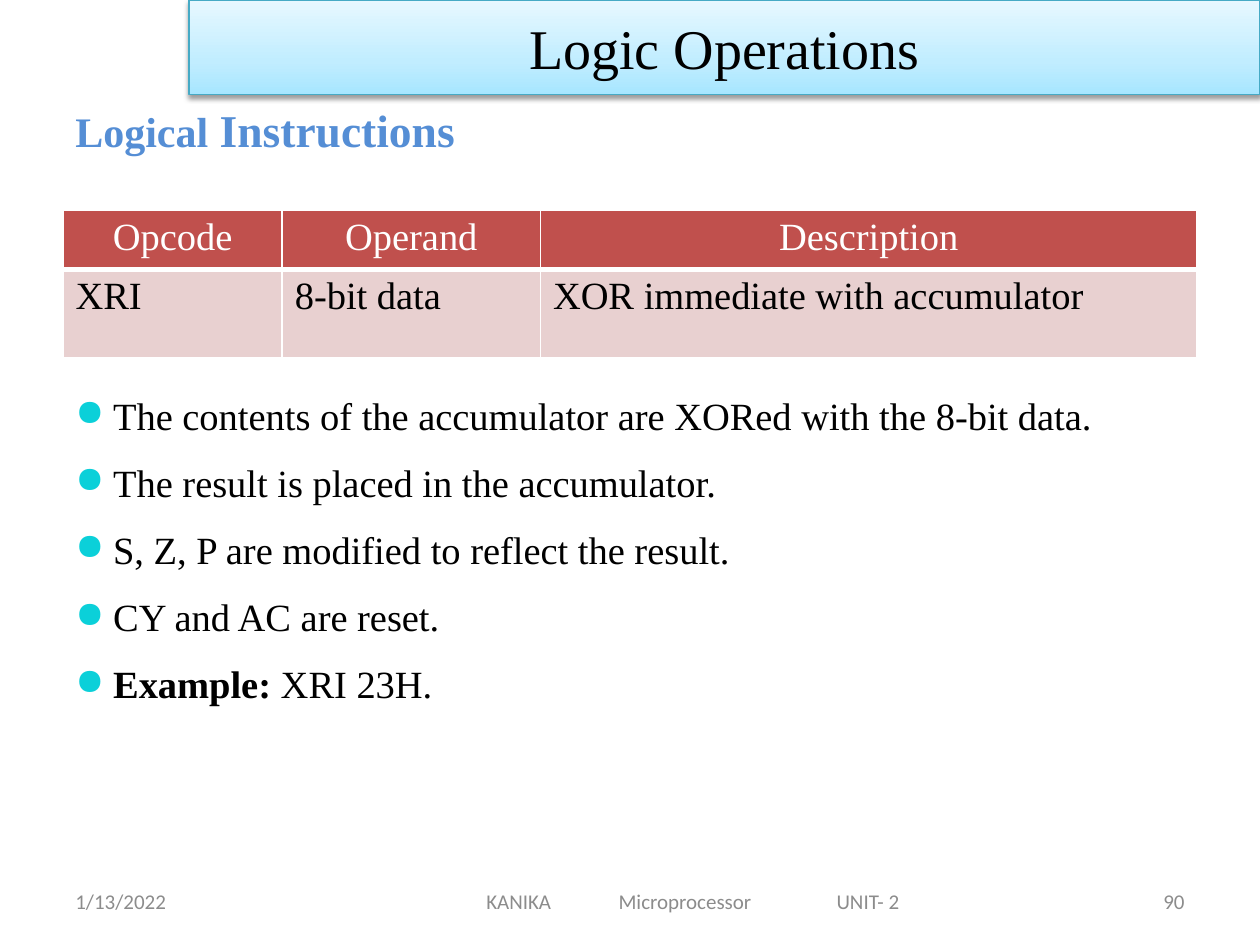
from lxml.etree import SubElement
from pptx import Presentation
from pptx.dml.color import RGBColor
from pptx.enum.shapes import MSO_SHAPE
from pptx.enum.text import MSO_ANCHOR, PP_ALIGN
from pptx.oxml import parse_xml
from pptx.oxml.ns import nsdecls, qn
from pptx.util import Inches, Pt

SERIF, SANS = "Times New Roman", "Calibri"
BLACK = RGBColor(0x00, 0x00, 0x00)
WHITE = RGBColor(0xFF, 0xFF, 0xFF)
GRAY = RGBColor(0x8C, 0x8C, 0x8C)
BLUE = RGBColor(0x55, 0x8E, 0xD5)
TEAL = RGBColor(0x46, 0xAA, 0xC5)
CYAN = RGBColor(0x0B, 0xD0, 0xD9)
RED = RGBColor(0xC0, 0x50, 0x4D)
PINK = RGBColor(0xE8, 0xD0, 0xD0)
BANNER_STOPS = [
    (0, RGBColor(0xA7, 0xE6, 0xFF)),
    (35, RGBColor(0xC1, 0xED, 0xFF)),
    (100, RGBColor(0xE7, 0xF8, 0xFF)),
]

TITLE = "Logic Operations"
HEADING = [("Logical", 24), (" Instructions", 26)]
TABLE_ROWS = [
    ("Opcode", "Operand", "Description"),
    ("XRI", "8-bit data", "XOR immediate with accumulator"),
]
COLUMN_WIDTHS = [1.74, 2.05, 5.21]
ROW_HEIGHTS = [0.46, 0.7]
BULLETS = [
    [("The contents of the accumulator are XORed with the 8-bit data.", False)],
    [("The result is placed in the accumulator.", False)],
    [("S, Z, P are modified to reflect the result.", False)],
    [("CY and AC are reset.", False)],
    [("Example:", True), (" XRI 23H.", False)],
]
DATE, PAGE_NUMBER = "1/13/2022", "90"
FOOTER = ["KANIKA", "Microprocessor", "UNIT- 2"]
FOOTER_INDENT = 1.11
FOOTER_TABS = [1.05, 2.78]

WIDTH, HEIGHT = 10, 7.5
MARGIN = WIDTH * 0.05
CONTENT_WIDTH = WIDTH - 2 * MARGIN
BANNER_LEFT = WIDTH * 0.15
FOOTER_TOP, FOOTER_HEIGHT, FOOTER_SIDE = 6.95, 0.4, 2.33


def add_run(paragraph, text, size, color, font=SERIF, bold=False):
    run = paragraph.add_run()
    run.text = text
    run.font.name, run.font.size, run.font.bold = font, Pt(size), bold
    run.font.color.rgb = color


def add_box(slide, left, top, width, height, anchor=MSO_ANCHOR.TOP):
    box = slide.shapes.add_textbox(*map(Inches, (left, top, width, height)))
    box.text_frame.word_wrap = True
    box.text_frame.vertical_anchor = anchor
    return box.text_frame


def add_banner(slide):
    banner = slide.shapes.add_shape(
        MSO_SHAPE.RECTANGLE, Inches(BANNER_LEFT), 0,
        Inches(WIDTH - BANNER_LEFT), Inches(HEIGHT / 10))
    banner.shadow.inherit = False
    banner.line.color.rgb = TEAL
    banner.line.width = Pt(0.75)
    banner.fill.gradient()
    properties = banner.element.spPr
    stops = "".join(
        f'<a:gs pos="{position * 1000}"><a:srgbClr val="{color}"/></a:gs>'
        for position, color in BANNER_STOPS)
    gradient = parse_xml(
        f'<a:gradFill {nsdecls("a")} rotWithShape="1"><a:gsLst>{stops}</a:gsLst>'
        '<a:lin ang="16200000" scaled="0"/></a:gradFill>')
    properties.replace(properties.find(qn("a:gradFill")), gradient)
    properties.find(qn("a:effectLst")).append(parse_xml(
        f'<a:outerShdw {nsdecls("a")} blurRad="{Pt(3.1)}" dist="{Pt(1.6)}" '
        f'dir="5400000" rotWithShape="0"><a:srgbClr val="{BLACK}">'
        '<a:alpha val="38000"/></a:srgbClr></a:outerShdw>'))
    frame = banner.text_frame
    frame.vertical_anchor = MSO_ANCHOR.MIDDLE
    frame.paragraphs[0].alignment = PP_ALIGN.CENTER
    add_run(frame.paragraphs[0], TITLE, 32, BLACK)


def add_borders(cell, widths):
    properties = cell._tc.get_or_add_tcPr()
    for index, (side, width) in enumerate(widths.items()):
        properties.insert(index, parse_xml(
            f'<a:{side} {nsdecls("a")} w="{Pt(width)}"><a:solidFill>'
            f'<a:srgbClr val="{WHITE}"/></a:solidFill></a:{side}>'))


def add_instruction_table(slide):
    table = slide.shapes.add_table(
        len(TABLE_ROWS), len(COLUMN_WIDTHS), Inches(MARGIN), Inches(1.67),
        Inches(CONTENT_WIDTH), Inches(sum(ROW_HEIGHTS))).table
    for column, width in zip(table.columns, COLUMN_WIDTHS):
        column.width = Inches(width)
    for row_index, (row, height) in enumerate(zip(table.rows, ROW_HEIGHTS)):
        row.height = Inches(height)
        header = row_index == 0
        for cell, text in zip(row.cells, TABLE_ROWS[row_index]):
            cell.fill.solid()
            cell.fill.fore_color.rgb = RED if header else PINK
            add_borders(cell, {"lnL": 1, "lnR": 1, "lnT": 1 if header else 3,
                               "lnB": 3 if header else 1})
            paragraph = cell.text_frame.paragraphs[0]
            paragraph.alignment = PP_ALIGN.CENTER if header else PP_ALIGN.LEFT
            add_run(paragraph, text, 22, WHITE if header else BLACK)


def add_bullets(slide):
    frame = add_box(slide, MARGIN, 3.06, CONTENT_WIDTH, 3.4)
    for index, runs in enumerate(BULLETS):
        paragraph = frame.add_paragraph() if index else frame.paragraphs[0]
        paragraph.alignment = PP_ALIGN.JUSTIFY
        paragraph.space_after = Pt(12)
        properties = paragraph._p.get_or_add_pPr()
        properties.set("marL", str(Inches(0.3)))
        properties.set("indent", str(Inches(-0.3)))
        color = SubElement(properties, qn("a:buClr"))
        SubElement(color, qn("a:srgbClr"), val=str(CYAN))
        SubElement(properties, qn("a:buSzPct"), val="95000")
        SubElement(properties, qn("a:buChar"), char="●")
        for text, bold in runs:
            add_run(paragraph, text, 22, BLACK, bold=bold)


def add_footer(slide):
    parts = [
        (MARGIN, FOOTER_SIDE, DATE, PP_ALIGN.LEFT),
        (2.75, 5.5, "\t".join(FOOTER), PP_ALIGN.LEFT),
        (WIDTH - MARGIN - FOOTER_SIDE, FOOTER_SIDE, PAGE_NUMBER, PP_ALIGN.RIGHT),
    ]
    for left, width, text, alignment in parts:
        frame = add_box(slide, left, FOOTER_TOP, width, FOOTER_HEIGHT, MSO_ANCHOR.MIDDLE)
        paragraph = frame.paragraphs[0]
        paragraph.alignment = alignment
        if "\t" in text:
            frame.margin_left = Inches(FOOTER_INDENT)
            tabs = SubElement(paragraph._p.get_or_add_pPr(), qn("a:tabLst"))
            for position in FOOTER_TABS:
                SubElement(tabs, qn("a:tab"), pos=str(Inches(position)), algn="l")
        add_run(paragraph, text, 12, GRAY, SANS)


def main():
    presentation = Presentation()
    presentation.slide_width, presentation.slide_height = Inches(WIDTH), Inches(HEIGHT)
    slide = presentation.slides.add_slide(presentation.slide_layouts[6])
    add_banner(slide)
    heading = add_box(slide, MARGIN, 0.76, 3.33, 0.54)
    heading.word_wrap = False
    for text, size in HEADING:
        add_run(heading.paragraphs[0], text, size, BLUE, bold=True)
    add_instruction_table(slide)
    add_bullets(slide)
    add_footer(slide)
    presentation.save("out.pptx")


if __name__ == "__main__":
    main()
